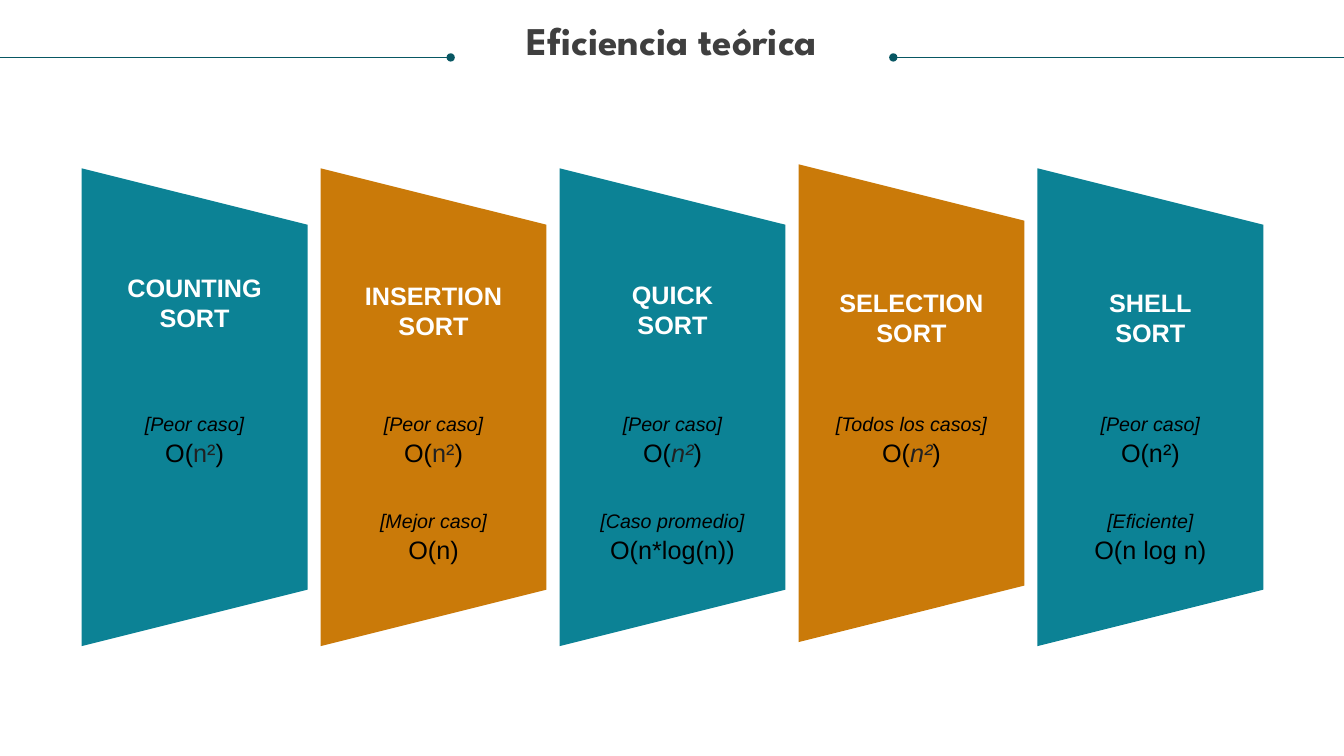
from dataclasses import dataclass

import lxml.etree
import pptx
import pptx.dml.color
import pptx.enum.shapes
import pptx.enum.text
import pptx.oxml.ns
import pptx.util

Inches = pptx.util.Inches
Pt = pptx.util.Pt


@dataclass(frozen=True)
class Theme:
    teal: str = "0C8295"
    orange: str = "CA7A09"
    rule: str = "085763"
    heading: str = "3F3F3F"
    white: str = "FFFFFF"
    black: str = "000000"
    soft_black: str = "202122"
    heading_font: str = "League Spartan"
    body_font: str = "Arial"
    heading_size: int = 28
    body_size: int = 18
    case_size: int = 14


THEME = Theme()


@dataclass(frozen=True)
class Span:
    text: str
    color: str = THEME.black
    italic: bool = False


@dataclass(frozen=True)
class Case:
    label: str
    cost: tuple[Span, ...]


@dataclass(frozen=True)
class Algorithm:
    name: str
    color: str
    name_top: float
    cases: tuple[Case, ...]
    panel_top: float = 1.67


def quadratic(italic: bool) -> tuple[Span, ...]:
    return Span("O("), Span("n²", THEME.soft_black, italic), Span(")")


ALGORITHMS = (
    Algorithm("COUNTING", THEME.teal, 2.7, (Case("[Peor caso]", quadratic(False)),)),
    Algorithm("INSERTION", THEME.orange, 2.78, (
        Case("[Peor caso]", quadratic(False)),
        Case("[Mejor caso]", (Span("O(n)"),)),
    )),
    Algorithm("QUICK", THEME.teal, 2.77, (
        Case("[Peor caso]", quadratic(True)),
        Case("[Caso promedio]", (Span("O(n*log(n))"),)),
    )),
    Algorithm("SELECTION", THEME.orange, 2.85,
              (Case("[Todos los casos]", quadratic(True)),), panel_top=1.63),
    Algorithm("SHELL", THEME.teal, 2.85, (
        Case("[Peor caso]", (Span("O(n²)"),)),
        Case("[Eficiente]", (Span("O(n log n)"),)),
    )),
)

SLIDE_WIDTH, SLIDE_HEIGHT = 13.33, 7.5
FIRST_CENTER, COLUMN_PITCH = 1.93, 2.37
PANEL_WIDTH, PANEL_HEIGHT = 2.24, 4.74
NAME_WIDTH, CASES_WIDTH, CASES_TOP = 1.5, 1.92, 4.0
RULE_Y, RULE_LENGTH = 0.57, 4.47
CASE_GAP = 24


def rgb(color: str) -> pptx.dml.color.RGBColor:
    return pptx.dml.color.RGBColor.from_string(color)


def add_text_frame(page, left: float, top: float, width: float, height: float):
    box = page.shapes.add_textbox(Inches(left), Inches(top), Inches(width), Inches(height))
    frame = box.text_frame
    frame.word_wrap = True
    frame.auto_size = pptx.enum.text.MSO_AUTO_SIZE.SHAPE_TO_FIT_TEXT
    frame.margin_left = frame.margin_right = frame.margin_top = frame.margin_bottom = 0
    return frame


def add_para(frame, spans: tuple[Span, ...], size: int, font: str = THEME.body_font,
             bold: bool = False, spacing: float = 1.0):
    """Fill the frame's first paragraph, or append one if it is already used."""
    para = frame.paragraphs[0]
    if para.runs:
        para = frame.add_paragraph()
    para.alignment = pptx.enum.text.PP_ALIGN.CENTER
    para.line_spacing = spacing
    para.font.size = Pt(size)
    para.font.name = font
    para.font.bold = bold
    uniform = len(spans) == 1
    for span in spans:
        run = para.add_run()
        run.text = span.text
        target = para.font if uniform else run.font
        target.color.rgb = rgb(span.color)
        target.italic = span.italic
    return para


def add_rule(page, dot_x: float, edge_x: float) -> None:
    """Draw a heading rule from its dot to the slide edge."""
    rule = page.shapes.add_connector(
        pptx.enum.shapes.MSO_CONNECTOR.STRAIGHT,
        Inches(dot_x), Inches(RULE_Y), Inches(edge_x), Inches(RULE_Y))
    rule.line.color.rgb = rgb(THEME.rule)
    rule.line.width = Pt(0.75)
    qn = pptx.oxml.ns.qn
    lxml.etree.SubElement(rule.line._get_or_add_ln(), qn("a:headEnd"), type="oval")
    lxml.etree.SubElement(rule._element.spPr, qn("a:effectLst"))


def add_panel(page, algorithm: Algorithm, center: float) -> None:
    """Draw a trapezoid turned so that its short side faces right."""
    middle = algorithm.panel_top + PANEL_HEIGHT / 2
    panel = page.shapes.add_shape(
        pptx.enum.shapes.MSO_SHAPE.TRAPEZOID,
        Inches(center - PANEL_HEIGHT / 2), Inches(middle - PANEL_WIDTH / 2),
        Inches(PANEL_HEIGHT), Inches(PANEL_WIDTH))
    panel.rotation = 90
    panel.adjustments[0] = 0.25
    panel.shadow.inherit = False
    panel.fill.solid()
    panel.fill.fore_color.rgb = rgb(algorithm.color)
    panel.line.fill.background()


def add_name(page, algorithm: Algorithm, center: float) -> None:
    frame = add_text_frame(page, center - NAME_WIDTH / 2, algorithm.name_top, NAME_WIDTH, 0.61)
    for word in (algorithm.name, "SORT"):
        add_para(frame, (Span(word, THEME.white),), THEME.body_size, bold=True)


def add_cases(page, algorithm: Algorithm, center: float) -> None:
    height = 0.53 + 0.8 * (len(algorithm.cases) - 1)
    frame = add_text_frame(page, center - CASES_WIDTH / 2, CASES_TOP, CASES_WIDTH, height)
    for index, case in enumerate(algorithm.cases):
        label = add_para(frame, (Span(case.label, italic=True),), THEME.case_size, spacing=1.36)
        if index:
            label.space_before = Pt(CASE_GAP)
        add_para(frame, case.cost, THEME.body_size, spacing=1.06)


def main() -> None:
    deck = pptx.Presentation()
    deck.slide_width, deck.slide_height = Inches(SLIDE_WIDTH), Inches(SLIDE_HEIGHT)
    page = deck.slides.add_slide(deck.slide_layouts[6])

    add_rule(page, RULE_LENGTH, 0)
    add_rule(page, SLIDE_WIDTH - RULE_LENGTH, SLIDE_WIDTH)
    heading = add_text_frame(page, 0.25, 0.21, 12.83, 0.42)
    add_para(heading, (Span("Eficiencia teórica", THEME.heading),), THEME.heading_size,
             THEME.heading_font, bold=True, spacing=0.9)

    for index, algorithm in enumerate(ALGORITHMS):
        center = FIRST_CENTER + index * COLUMN_PITCH
        add_panel(page, algorithm, center)
        add_name(page, algorithm, center)
        add_cases(page, algorithm, center)

    deck.save("out.pptx")


if __name__ == "__main__":
    main()
